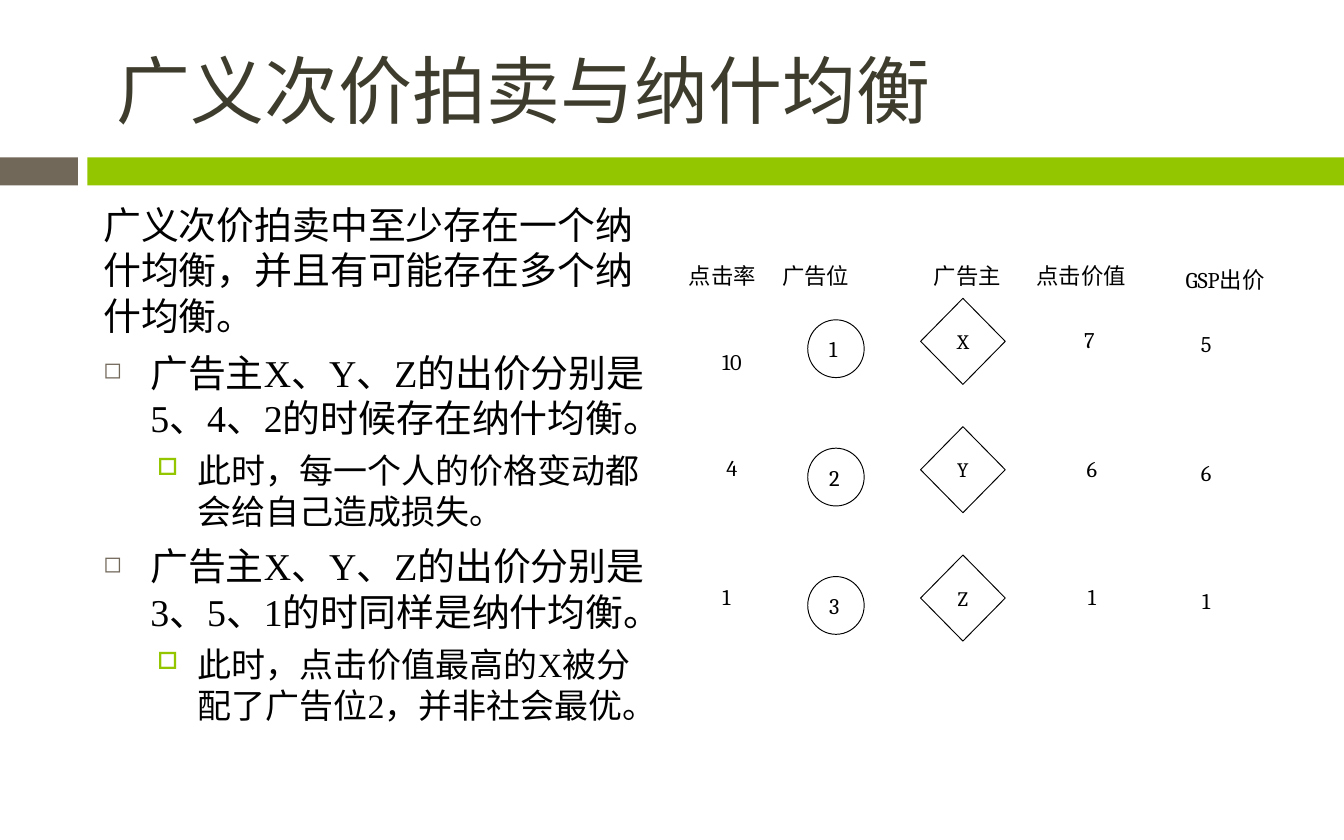
from dataclasses import dataclass

from lxml.etree import SubElement
from pptx import Presentation
from pptx.dml.color import RGBColor
from pptx.enum.lang import MSO_LANGUAGE_ID as Lang
from pptx.enum.shapes import MSO_SHAPE as Shape
from pptx.enum.text import MSO_ANCHOR as Anchor, PP_ALIGN as Align
from pptx.oxml.ns import qn
from pptx.util import Inches, Pt

COLORS = {"ink": "000000", "title": "3E3D2D", "brown": "71685A",
          "green": "94C600", "white": "FFFFFF"}

prs = Presentation()
prs.slide_width, prs.slide_height = Inches(10), Inches(6.25)
CELL = prs.slide_width / 100  # the slide is a grid of 100 columns by 62.5 rows
ROW_STEP = 9.55  # grid rows from one auction entry to the next


@dataclass(frozen=True)
class Box:
    col: float
    row: float
    cols: float
    rows: float

    def lengths(self) -> list[int]:
        return [round(v * CELL) for v in (self.col, self.row, self.cols, self.rows)]


@dataclass(frozen=True)
class Level:
    size: float
    before: float
    margin: float = 0
    hang: float = 0
    bullet: str = ""
    color: str = ""
    percent: int = 100


@dataclass(frozen=True)
class Label:
    text: str
    box: Box
    align: Align = Align.CENTER


@dataclass(frozen=True)
class Markers:
    """A column of outlined shapes, one for each auction entry."""
    shape: Shape
    first: Box
    texts: str
    size: float
    align: Align


INTRO = Level(20.3, 6.2)
POINT = Level(20.3, 6.2, 3.5, 3.5, "◻", "brown", 60)
DETAIL = Level(18.2, 5.2, 7, 3, "□", "green", 70)

BODY = [
    (INTRO, "广义次价拍卖中至少存在一个纳什均衡，并且有可能存在多个纳什均衡。"),
    (POINT, "广告主X、Y、Z的出价分别是5、4、2的时候存在纳什均衡。"),
    (DETAIL, "此时，每一个人的价格变动都会给自己造成损失。"),
    (POINT, "广告主X、Y、Z的出价分别是3、5、1的时同样是纳什均衡。"),
    (DETAIL, "此时，点击价值最高的X被分配了广告位2，并非社会最优。"),
]

HEADERS = [
    Label("点击率", Box(48.8, 19, 9.9, 3.2)),
    Label("广告位", Box(57.2, 19, 8.5, 3.2), Align.JUSTIFY),
    Label("广告主", Box(68.5, 19, 8.5, 3.2), Align.JUSTIFY),
    Label("点击价值", Box(75.4, 19, 10.1, 3.2)),
    Label("GSP出价", Box(85.5, 19.3, 11.3, 3.2)),
]

CLICK_RATES = [
    Label("10", Box(50.2, 25.4, 8.5, 3.2)),
    Label("4", Box(50.2, 33.3, 8.5, 3.2)),
    Label("1", Box(51.2, 42.9, 5.7, 3.2)),
]

# Texts with the left edge of each, then the first row
VALUES = [
    ((("7", 75.4), ("6", 75.6), ("1", 75.6)), 23.8),
    ((("5", 84.1), ("6", 84.1), ("1", 84.1)), 24.1),
]

MARKERS = [
    Markers(Shape.OVAL, Box(60.1, 23.8, 4.2, 4.3), "123", 12, Align.JUSTIFY),
    Markers(Shape.DIAMOND, Box(68.5, 22.2, 6.3, 6.4), "XYZ", 11, Align.CENTER),
]


def rgb(name: str) -> RGBColor:
    return RGBColor.from_string(COLORS[name])


def write(p, text: str, size: float, font: str = "Cambria", color: str = "ink") -> None:
    r = p.add_run()
    r.text = text
    formats = {"size": Pt(size), "name": font, "language_id": Lang.SIMPLIFIED_CHINESE}
    for name, value in formats.items():
        setattr(r.font, name, value)
    r.font.color.rgb = rgb(color)


def add_text_box(slide, box: Box):
    tf = slide.shapes.add_textbox(*box.lengths()).text_frame
    tf.word_wrap = True
    return tf


def add_label(slide, label: Label) -> None:
    p = add_text_box(slide, label.box).paragraphs[0]
    p.alignment = label.align
    write(p, label.text, 12)


def add_filled(slide, shape: Shape, box: Box, fill: str):
    sp = slide.shapes.add_shape(shape, *box.lengths())
    sp.shadow.inherit = False
    sp.fill.solid()
    sp.fill.fore_color.rgb = rgb(fill)
    sp.line.fill.background()
    return sp


def add_markers(slide, markers: Markers) -> None:
    b = markers.first
    for i, text in enumerate(markers.texts):
        box = Box(b.col, b.row + i * ROW_STEP, b.cols, b.rows)
        sp = add_filled(slide, markers.shape, box, "white")
        sp.line.color.rgb = rgb("ink")
        sp.line.width = Pt(0.5)
        tf = sp.text_frame
        tf.vertical_anchor = Anchor.MIDDLE
        p = tf.paragraphs[0]
        p.alignment = markers.align
        write(p, text, markers.size)


def set_bullet(p, level: Level) -> None:
    props = p._p.get_or_add_pPr()
    props.set("marL", str(round(level.margin * CELL)))
    props.set("indent", str(round(-level.hang * CELL)))
    color = SubElement(props, qn("a:buClr"))
    SubElement(color, qn("a:srgbClr"), val=COLORS[level.color])
    SubElement(props, qn("a:buSzPct"), val=str(level.percent * 1000))
    SubElement(props, qn("a:buChar"), char=level.bullet)


def add_body(slide) -> None:
    tf = add_text_box(slide, Box(6.7, 14.5, 42.5, 41.7))
    for i, (level, text) in enumerate(BODY):
        p = tf.add_paragraph() if i else tf.paragraphs[0]
        p.space_before = Pt(level.before if i else 0)
        if level.bullet:
            set_bullet(p, level)
        write(p, text, level.size, "Times New Roman")


def add_title(slide) -> None:
    tf = add_text_box(slide, Box(6.7, 2.1, 89.2, 9))
    tf.margin_left = round(2 * CELL)
    tf.vertical_anchor = Anchor.MIDDLE
    write(tf.paragraphs[0], "广义次价拍卖与纳什均衡", 39.6, "Roboto Condensed", "title")


def main() -> None:
    slide = prs.slides.add_slide(prs.slide_layouts[6])
    add_filled(slide, Shape.RECTANGLE, Box(0, 11.7, 5.8, 2.1), "brown")
    add_filled(slide, Shape.RECTANGLE, Box(6.5, 11.7, 93.5, 2.1), "green")
    add_title(slide)
    add_body(slide)
    for label in HEADERS + CLICK_RATES:
        add_label(slide, label)
    for entries, row in VALUES:
        for i, (text, col) in enumerate(entries):
            add_label(slide, Label(text, Box(col, row + i * ROW_STEP, 11.3, 3.2)))
    for markers in MARKERS:
        add_markers(slide, markers)
    prs.save("out.pptx")


if __name__ == "__main__":
    main()
